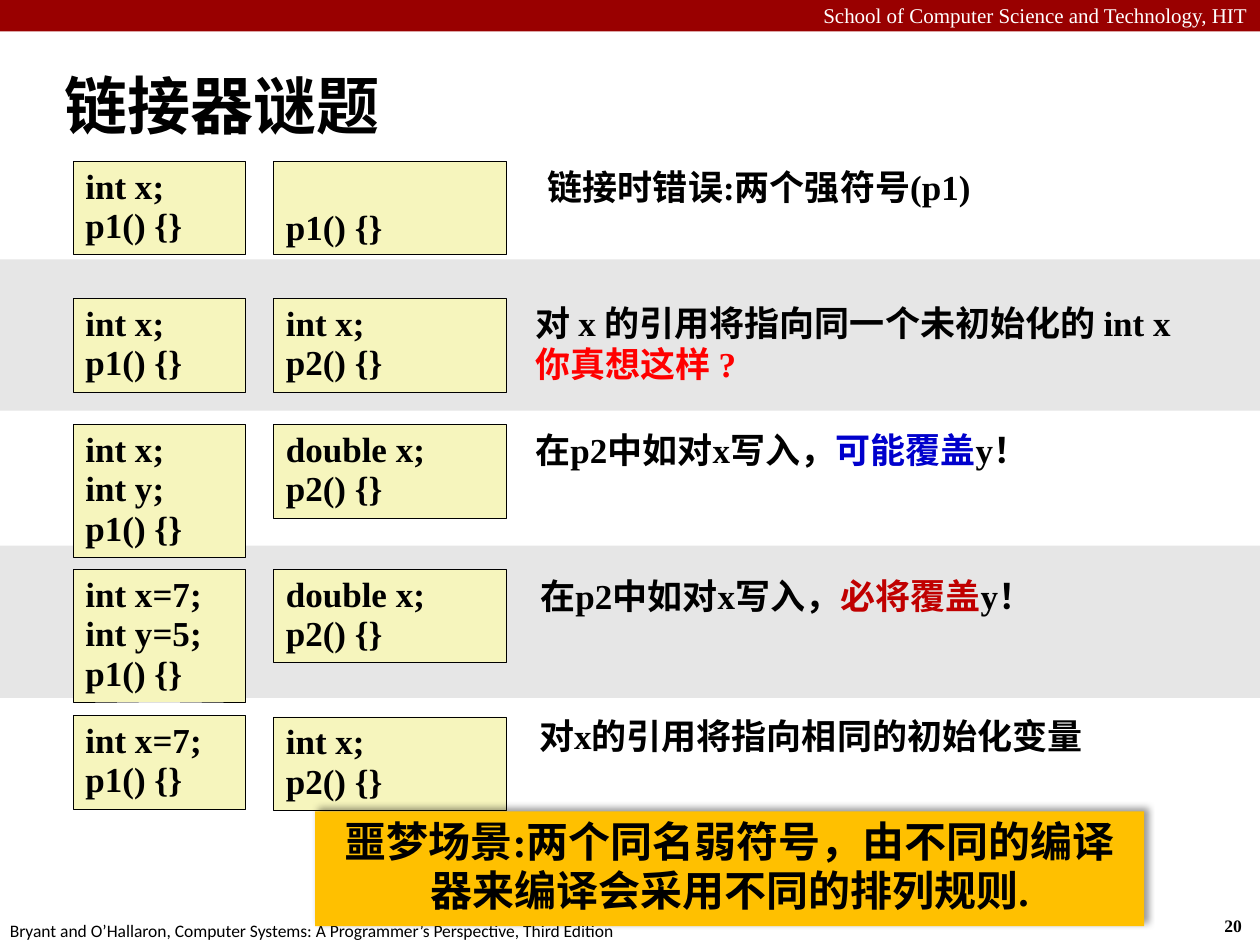
from lxml import etree
from pptx import Presentation
from pptx.dml.color import RGBColor
from pptx.enum.shapes import MSO_SHAPE
from pptx.enum.text import MSO_ANCHOR, PP_ALIGN
from pptx.oxml.ns import qn
from pptx.util import Inches, Pt

COLORS = {
    "black": "000000", "white": "FFFFFF", "header": "990000", "band": "E6E6E6",
    "code": "F6F5BD", "banner": "FFC000", "red": "FF0000", "blue": "0000CC",
    "dark red": "C00000",
}
SERIF, SANS = "Times New Roman", "Calibri"

TITLE = "链接器谜题"
HEADER = "School of Computer Science and Technology, HIT"
FOOTER = "Bryant and O’Hallaron, Computer Systems: A Programmer’s Perspective, Third Edition"
PAGE_NUMBER = "20"
BANNER = "噩梦场景:两个同名弱符号，由不同的编译器来编译会采用不同的排列规则."

# Each puzzle: tops of the two modules, their code, then the answer's
# place (left, top, width, height) and its paragraphs of (text, color) runs.
PUZZLES = [
    ((1.28, 1.28), (["int x;", "p1() {}"], ["p1() {}"]),
     (4.25, 1.28, 3.66, 0.43), [[("链接时错误:两个强符号(p1)", "black")]]),
    ((2.37, 2.37), (["int x;", "p1() {}"], ["int x;", "p2() {}"]),
     (4.15, 2.36, 5.29, 0.76),
     [[("对 x 的引用将指向同一个未初始化的 int x", "black")], [("你真想这样 ?", "red")]]),
    ((3.37, 3.37), (["int x;", "int y;", "p1() {}"], ["double x;", "p2() {}"]),
     (4.15, 3.37, 4.14, 0.43),
     [[("在p2中如对x写入，", "black"), ("可能覆盖", "blue"), ("y！", "black")]]),
    ((4.52, 4.52), (["int x=7;", "int y=5;", "p1() {}"], ["double x;", "p2() {}"]),
     (4.19, 4.53, 4.14, 0.43),
     [[("在p2中如对x写入，", "black"), ("必将覆盖", "dark red"), ("y！", "black")]]),
    ((5.68, 5.69), (["int x=7;", "p1() {}"], ["int x;", "p2() {}"]),
     (4.18, 5.64, 4.55, 0.43), [[("对x的引用将指向相同的初始化变量", "black")]]),
]
MODULE_COLUMNS = [(0.58, 1.37), (2.17, 1.85)]  # left, width
BANDS = [(4.33, 1.21), (2.06, 1.2)]  # top, height


def rgb(name):
    return RGBColor.from_string(COLORS[name])


def add_block(page, place, fill, outlined=False):
    block = page.shapes.add_shape(MSO_SHAPE.RECTANGLE, *map(Inches, place))
    block.shadow.inherit = False
    block.fill.solid()
    block.fill.fore_color.rgb = rgb(fill)
    if outlined:
        block.line.color.rgb = rgb("black")
        block.line.width = Pt(0.25)
    else:
        block.line.fill.background()
    return block


def write(box, paragraphs, size, font=SERIF, bold=True, align=PP_ALIGN.LEFT,
          spacing=None, anchor=MSO_ANCHOR.TOP, wrap=True):
    """Fill a shape with paragraphs, each a list of (text, color) runs."""
    frame = box.text_frame
    frame.word_wrap = wrap
    frame.vertical_anchor = anchor
    for index, runs in enumerate(paragraphs):
        para = frame.paragraphs[0] if index == 0 else frame.add_paragraph()
        para.alignment = align
        para.line_spacing = spacing
        for text, color in runs:
            span = para.add_run()
            span.text = text
            span.font.name = font
            span.font.size = Pt(size)
            span.font.bold = bold
            span.font.color.rgb = rgb(color)


def add_label(page, place, paragraphs, size, **style):
    box = page.shapes.add_textbox(*map(Inches, place))
    write(box, paragraphs, size, **style)


def add_shadow(shape):
    """Cast a soft shadow up and to the right."""
    effects = shape._element.spPr.find(qn("a:effectLst"))
    shadow = etree.SubElement(effects, qn("a:outerShdw"), blurRad=str(Pt(4)),
                              dist=str(Pt(3)), dir=str(315 * 60000), algn="bl")
    color = etree.SubElement(shadow, qn("a:srgbClr"), val=COLORS["black"])
    etree.SubElement(color, qn("a:alpha"), val="40000")


def add_puzzle(page, tops, modules, answer_place, answer):
    for (left, width), top, code in zip(MODULE_COLUMNS, tops, modules):
        height = 1.05 if len(code) == 3 else 0.74
        box = add_block(page, (left, top, width, height), "code", outlined=True)
        anchor = MSO_ANCHOR.BOTTOM if len(code) == 1 else MSO_ANCHOR.TOP
        write(box, [[(line, "black")] for line in code], 20, spacing=0.94, anchor=anchor)
    add_label(page, answer_place, answer, 20, spacing=0.98)


def main():
    deck = Presentation()
    deck.slide_width, deck.slide_height = Inches(10), Inches(7.5)
    page = deck.slides.add_slide(deck.slide_layouts[5])

    add_block(page, (0, 0, 10, 0.25), "header")
    add_label(page, (0, -0.03, 10, 0.3), [[(HEADER, "white")]], 12,
              bold=False, align=PP_ALIGN.RIGHT)
    add_label(page, (9.62, 7.21, 0.37, 0.27), [[(PAGE_NUMBER, "black")]], 10, wrap=False)
    add_label(page, (-0.02, 7.25, 5.08, 0.27), [[(FOOTER, "black")]], 10,
              font=SANS, bold=False, wrap=False)
    for top, height in BANDS:
        add_block(page, (0, top, 10, height), "band")

    title = page.shapes.title
    title.left, title.top, title.width, title.height = map(Inches, (0.41, 0.41, 9.51, 0.83))
    write(title, [[(TITLE, "black")]], 36, font=SANS, anchor=MSO_ANCHOR.MIDDLE)

    for puzzle in PUZZLES:
        add_puzzle(page, *puzzle)

    banner = add_block(page, (2.5, 6.44, 6.58, 0.91), "banner")
    add_shadow(banner)
    write(banner, [[(BANNER, "black")]], 24, align=PP_ALIGN.CENTER, spacing=0.98)

    deck.save("out.pptx")


if __name__ == "__main__":
    main()
